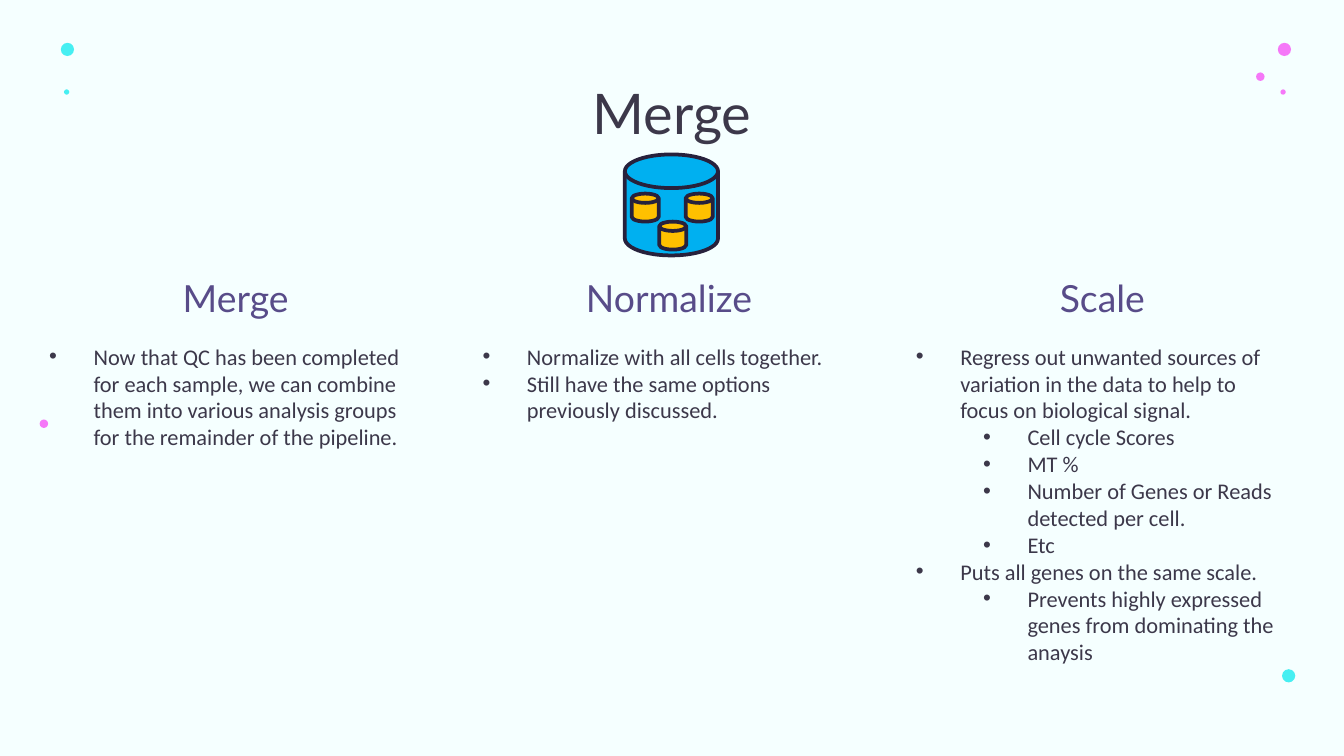
from typing import NamedTuple

import pptx
import pptx.dml.color
import pptx.enum.shapes
import pptx.enum.text
import pptx.util
from lxml import etree
from pptx.dml.color import RGBColor
from pptx.enum.shapes import MSO_SHAPE
from pptx.enum.text import MSO_ANCHOR, PP_ALIGN
from pptx.oxml.ns import qn
from pptx.util import Cm

BACKGROUND = RGBColor(0xF5, 0xFF, 0xFF)
PINK = RGBColor(0xF5, 0x78, 0xF8)
CYAN = RGBColor(0x46, 0xEF, 0xF2)
BLUE = RGBColor(0x00, 0xB0, 0xF0)
GOLD = RGBColor(0xFF, 0xC0, 0x00)
OUTLINE = RGBColor(0x27, 0x21, 0x3C)
INK = RGBColor(0x3C, 0x38, 0x4A)
PURPLE = RGBColor(0x58, 0x4C, 0x89)

COLUMN_LEFT, COLUMN_PITCH, COLUMN_WIDTH = 0.25, 8.19, 7.98
INDENT, HANGING = 1.27, -0.84


class Dot(NamedTuple):
    left: float
    top: float
    size: float
    color: RGBColor


class Disk(NamedTuple):
    left: float
    top: float
    width: float
    height: float
    color: RGBColor


class Bullet(NamedTuple):
    text: str
    level: int = 0


class Column(NamedTuple):
    heading: str
    bullets: list[Bullet]
    height: float


class Style(NamedTuple):
    font: str
    size: int
    color: RGBColor


TITLE = Style("Lato", 30, INK)
HEADING = Style("Lato", 20, PURPLE)
BODY = Style("Calibri", 12, INK)

DOTS = [
    Dot(24.15, 0.81, 0.25, PINK),
    Dot(23.74, 1.37, 0.16, PINK),
    Dot(24.2, 1.69, 0.1, PINK),
    Dot(1.15, 0.81, 0.25, CYAN),
    Dot(0.75, 7.93, 0.16, PINK),
    Dot(1.21, 1.69, 0.1, CYAN),
    Dot(24.23, 12.65, 0.25, CYAN),
]

DISKS = [
    Disk(11.81, 2.92, 1.76, 1.91, BLUE),
    Disk(11.94, 3.66, 0.51, 0.53, GOLD),
    Disk(12.96, 3.66, 0.51, 0.53, GOLD),
    Disk(12.46, 4.19, 0.51, 0.53, GOLD),
]

COLUMNS = [
    Column("Merge", [
        Bullet("Now that QC has been completed for each sample, we can combine "
               "them into various analysis groups for the remainder of the pipeline."),
    ], 7.14),
    Column("Normalize", [
        Bullet("Normalize with all cells together."),
        Bullet("Still have the same options previously discussed."),
    ], 6.1),
    Column("Scale", [
        Bullet("Regress out unwanted sources of variation in the data to help to "
               "focus on biological signal."),
        Bullet("Cell cycle Scores", 1),
        Bullet("MT %", 1),
        Bullet("Number of Genes or Reads detected per cell.", 1),
        Bullet("Etc", 1),
        Bullet("Puts all genes on the same scale."),
        Bullet("Prevents highly expressed genes from dominating the anaysis", 1),
    ], 6.1),
]


def draw_dot(page, dot: Dot) -> None:
    shape = page.shapes.add_shape(
        MSO_SHAPE.OVAL, Cm(dot.left), Cm(dot.top), Cm(dot.size), Cm(dot.size))
    shape.shadow.inherit = False
    shape.fill.solid()
    shape.fill.fore_color.rgb = dot.color
    shape.line.fill.background()


def draw_disk(page, disk: Disk) -> None:
    shape = page.shapes.add_shape(
        MSO_SHAPE.FLOWCHART_MAGNETIC_DISK,
        Cm(disk.left), Cm(disk.top), Cm(disk.width), Cm(disk.height))
    shape.shadow.inherit = False
    shape.fill.solid()
    shape.fill.fore_color.rgb = disk.color
    shape.line.color.rgb = OUTLINE
    shape.line.width = pptx.util.Pt(2)


def set_up_frame(frame, anchor: MSO_ANCHOR) -> None:
    frame.word_wrap = True
    frame.vertical_anchor = anchor
    frame.margin_left = frame.margin_right = Cm(0.25)
    frame.margin_top = frame.margin_bottom = Cm(0.25)


def add_frame(page, left: float, top: float, width: float, height: float,
              anchor: MSO_ANCHOR = MSO_ANCHOR.TOP):
    box = page.shapes.add_textbox(Cm(left), Cm(top), Cm(width), Cm(height))
    set_up_frame(box.text_frame, anchor)
    return box.text_frame


def add_span(para, text: str, style: Style) -> None:
    span = para.add_run()
    span.text = text
    span.font.name = style.font
    span.font.size = pptx.util.Pt(style.size)
    span.font.color.rgb = style.color


def indent(para, level: int = 0) -> None:
    """Give the paragraph the hanging indent of its level."""
    para.level = level
    properties = para._p.get_or_add_pPr()
    properties.set("marL", str(Cm(INDENT * (level + 1))))
    properties.set("indent", str(Cm(HANGING)))


def add_bullet_mark(para) -> None:
    properties = para._p.get_or_add_pPr()
    color = etree.SubElement(properties, qn("a:buClr"))
    etree.SubElement(color, qn("a:srgbClr"), val=str(INK))
    etree.SubElement(properties, qn("a:buFont"), typeface="Arial")
    etree.SubElement(properties, qn("a:buChar"), char="•")


def draw_column(page, index: int, column: Column) -> None:
    left = COLUMN_LEFT + index * COLUMN_PITCH

    body = add_frame(page, left, 6.23, COLUMN_WIDTH, column.height)
    for number, bullet in enumerate(column.bullets):
        para = body.add_paragraph() if number else body.paragraphs[0]
        indent(para, bullet.level)
        add_bullet_mark(para)
        add_span(para, bullet.text, BODY)

    heading = add_frame(page, left, 5.08, COLUMN_WIDTH, 1.22, MSO_ANCHOR.BOTTOM)
    para = heading.paragraphs[0]
    para.alignment = PP_ALIGN.CENTER
    indent(para)
    add_span(para, column.heading, HEADING)


def main() -> None:
    deck = pptx.Presentation()
    deck.slide_width, deck.slide_height = Cm(25.4), Cm(14.29)
    page = deck.slides.add_slide(deck.slide_layouts[6])
    page.background.fill.solid()
    page.background.fill.fore_color.rgb = BACKGROUND

    for dot in DOTS:
        draw_dot(page, dot)
    title = add_frame(page, 2, 1.24, 21.4, 1.6).paragraphs[0]
    title.alignment = PP_ALIGN.CENTER
    add_span(title, "Merge", TITLE)
    for disk in DISKS:
        draw_disk(page, disk)
    for index, column in enumerate(COLUMNS):
        draw_column(page, index, column)

    deck.save("out.pptx")


if __name__ == "__main__":
    main()
